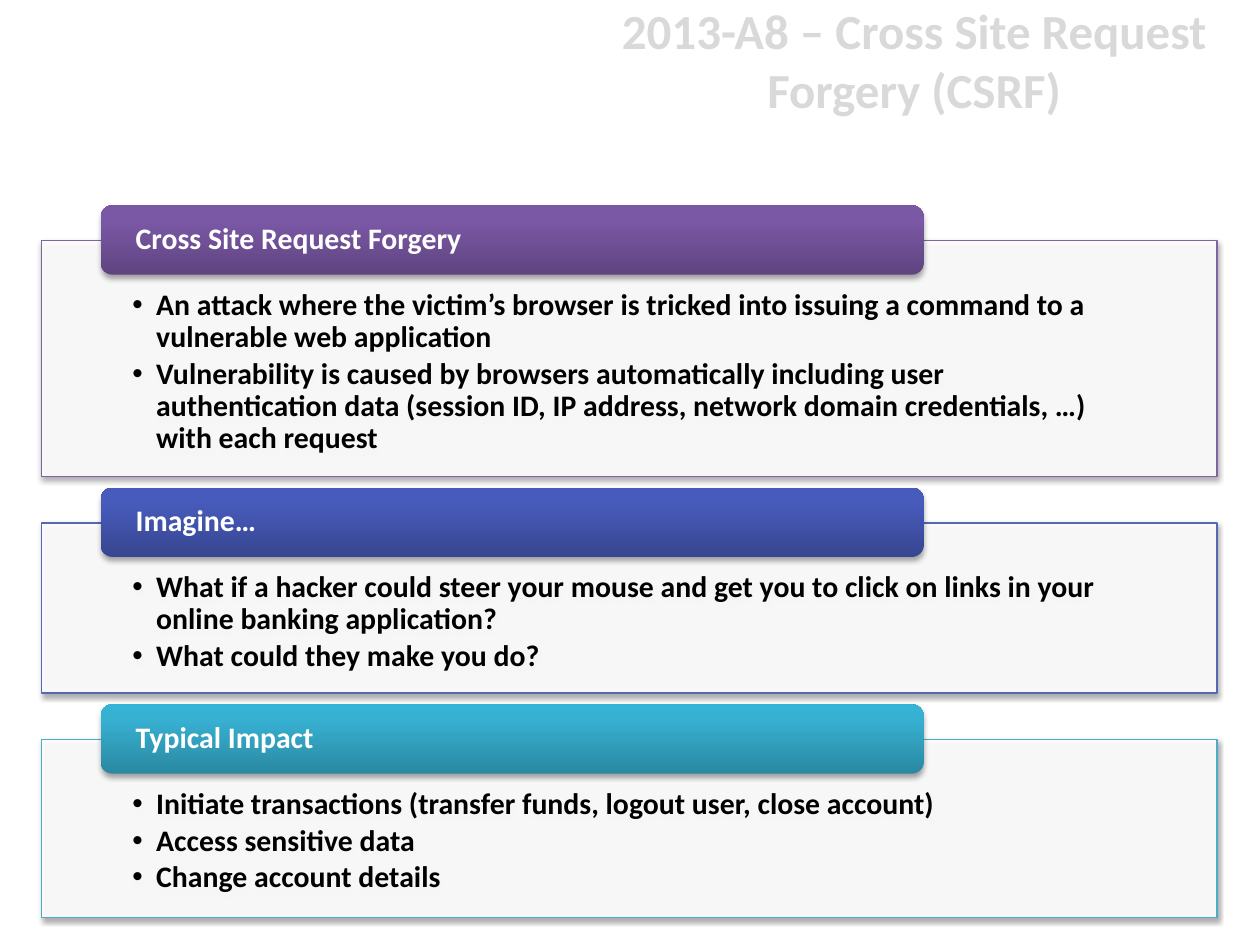
import copy

import lxml.etree
import pptx
import pptx.dml.color
import pptx.enum.shapes
import pptx.enum.text
import pptx.oxml.ns
import pptx.util

Inches, Pt = pptx.util.Inches, pptx.util.Pt
RGB = pptx.dml.color.RGBColor.from_string
SHAPE = pptx.enum.shapes.MSO_SHAPE
ALIGN = pptx.enum.text.PP_ALIGN
ANCHOR = pptx.enum.text.MSO_ANCHOR
qn = pptx.oxml.ns.qn

TITLE = "2013-A8 – Cross Site Request Forgery (CSRF)"
SECTIONS = [
    {"heading": "Cross Site Request Forgery", "height": 1.87, "line": "8064A2",
     "gradient": ("5F4480", "7B58A6", "7C57A8"),
     "points": [
         "An attack where the victim’s browser is tricked into issuing a command "
         "to a vulnerable web application",
         "Vulnerability is caused by browsers automatically including user "
         "authentication data (session ID, IP address, network domain "
         "credentials, …) with each request"]},
    {"heading": "Imagine…", "height": 1.35, "line": "5767B4",
     "gradient": ("374691", "475BBC", "455ABF"),
     "points": [
         "What if a hacker could steer your mouse and get you to click on links "
         "in your online banking application?",
         "What could they make you do?"]},
    {"heading": "Typical Impact", "height": 1.41, "line": "4BACC6",
     "gradient": ("2A88A2", "37B1D2", "34B4D6"),
     "points": [
         "Initiate transactions (transfer funds, logout user, close account)",
         "Access sensitive data",
         "Change account details"]},
]

THEME = {
    "font": "Calibri",
    "title": {"size": 28, "color": "D9D9D9"},
    "heading": {"size": 17, "color": "FFFFFF"},
    "body": {"size": 17, "color": "000000"},
    "panel": "FFFFFF",
    "panel_alpha": 90,
    "shadow": {"color": "000000", "alpha": 35, "blur": 3.1, "distance": 1.8},
}
STOPS = (0, 0.8, 1)
FIRST_TOP, OVERLAP, GAP = 1.63, 0.28, 0.09
PANEL_LEFT, PANEL_WIDTH = 0.33, 9.33
HEADER_LEFT, HEADER_WIDTH, HEADER_HEIGHT = 0.8, 6.53, 0.55
INDENT = 0.19


def add_child(parent, tag, **attrs):
    child = lxml.etree.SubElement(parent, qn(tag))
    for name, value in attrs.items():
        child.set(name, str(value))
    return child


def write_text(s, lines, style, frame, paragraph, bullet=False):
    tf = s.text_frame
    for name, value in {"word_wrap": True, **frame}.items():
        setattr(tf, name, value)
    for i, line in enumerate(lines):
        p = tf.paragraphs[0] if i == 0 else tf.add_paragraph()
        if bullet:
            pPr = p._p.get_or_add_pPr()
            pPr.set("marL", str(Inches(INDENT)))
            pPr.set("indent", str(-Inches(INDENT)))
            add_child(pPr, "a:buFont", typeface="Arial")
            add_child(pPr, "a:buChar", char="•")
        for name, value in paragraph.items():
            setattr(p, name, value)
        r = p.add_run()
        r.text = line
        font = {"name": THEME["font"], "size": Pt(style["size"]), "bold": True}
        for name, value in font.items():
            setattr(r.font, name, value)
        r.font.color.rgb = RGB(style["color"])


def add_shadow(s):
    s.shadow.inherit = False
    look = THEME["shadow"]
    effects = s._element.spPr.find(qn("a:effectLst"))
    shadow = add_child(effects, "a:outerShdw", blurRad=Pt(look["blur"]),
                       dist=Pt(look["distance"]), dir=90 * 60000, rotWithShape=0)
    color = add_child(shadow, "a:srgbClr", val=look["color"])
    add_child(color, "a:alpha", val=look["alpha"] * 1000)


def add_panel(slide, section, top):
    s = slide.shapes.add_shape(SHAPE.RECTANGLE, Inches(PANEL_LEFT), Inches(top),
                               Inches(PANEL_WIDTH), Inches(section["height"]))
    s.fill.solid()
    s.fill.fore_color.rgb = RGB(THEME["panel"])
    color = s._element.spPr.find(qn("a:solidFill")).find(qn("a:srgbClr"))
    add_child(color, "a:alpha", val=THEME["panel_alpha"] * 1000)
    s.line.color.rgb = RGB(section["line"])
    s.line.width = Pt(0.75)
    add_shadow(s)
    frame = {"margin_left": Inches(0.72), "margin_right": Inches(0.72),
             "margin_top": Inches(0.39), "margin_bottom": Inches(0.13),
             "vertical_anchor": ANCHOR.TOP}
    paragraph = {"alignment": ALIGN.LEFT, "line_spacing": 0.9,
                 "space_after": Pt(2.6)}
    write_text(s, section["points"], THEME["body"], frame, paragraph, bullet=True)


def add_header(slide, section, top):
    s = slide.shapes.add_shape(SHAPE.ROUNDED_RECTANGLE, Inches(HEADER_LEFT),
                               Inches(top), Inches(HEADER_WIDTH),
                               Inches(HEADER_HEIGHT))
    s.fill.gradient()
    s.fill.gradient_angle = 90
    stops = s._element.spPr.find(qn("a:gradFill")).find(qn("a:gsLst"))
    stops.append(copy.deepcopy(stops[0]))
    for stop, position, color in zip(s.fill.gradient_stops, STOPS,
                                     section["gradient"]):
        stop.color.rgb = RGB(color)
        stop.position = position
    s.line.fill.background()
    add_shadow(s)
    frame = {"margin_left": Inches(0.25), "margin_right": Inches(0.25),
             "margin_top": 0, "margin_bottom": 0,
             "vertical_anchor": ANCHOR.MIDDLE}
    paragraph = {"alignment": ALIGN.LEFT, "line_spacing": 0.9}
    write_text(s, [section["heading"]], THEME["heading"], frame, paragraph)


def main():
    prs = pptx.Presentation()
    prs.slide_width, prs.slide_height = Inches(10), Inches(7.5)
    slide = prs.slides.add_slide(prs.slide_layouts[6])

    title = slide.shapes.add_textbox(Inches(4.67), Inches(0.08),
                                     Inches(5.17), Inches(0.78))
    write_text(title, [TITLE], THEME["title"],
               {"vertical_anchor": ANCHOR.MIDDLE}, {"alignment": ALIGN.CENTER})

    top = FIRST_TOP
    for section in SECTIONS:
        add_panel(slide, section, top + OVERLAP)
        add_header(slide, section, top)
        top += OVERLAP + section["height"] + GAP

    prs.save("out.pptx")


if __name__ == "__main__":
    main()
